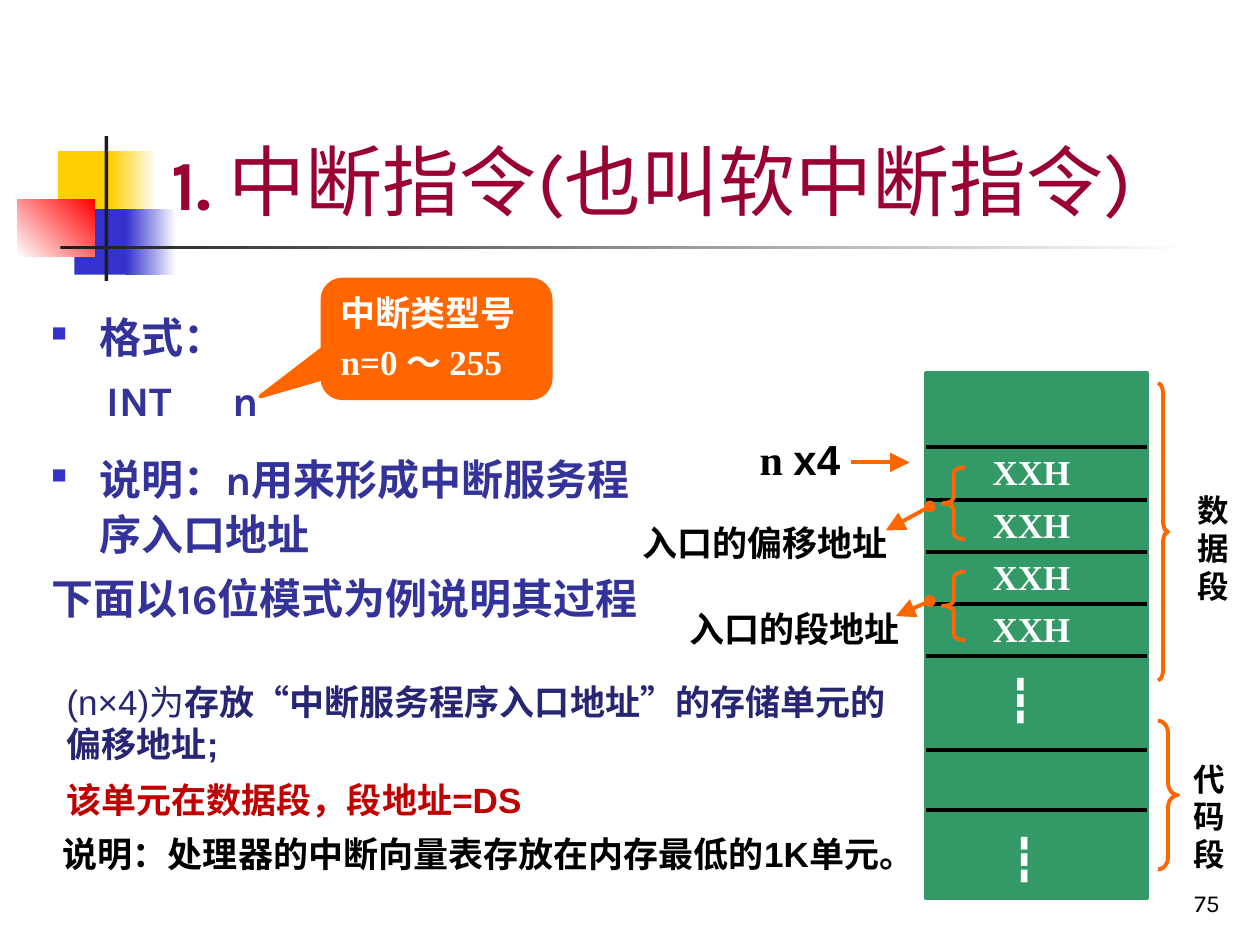
from dataclasses import dataclass

from lxml import etree
from pptx import Presentation
from pptx.dml.color import RGBColor
from pptx.enum import shapes, text
from pptx.oxml import ns
from pptx.util import Inches, Pt


@dataclass(frozen=True)
class Theme:
    sans: str = "Arial"
    serif: str = "Times New Roman"
    display: str = "Karla"
    title: str = "990033"
    body: str = "333399"
    bullet: str = "3333CC"
    note: str = "262673"
    alert: str = "C00000"
    memory: str = "339966"
    accent: str = "FF6600"
    yellow: str = "FFCF01"
    red: str = "FF0000"
    dark: str = "1C1C1C"
    black: str = "000000"
    white: str = "FFFFFF"
    title_size: int = 44
    number_size: int = 40
    body_size: int = 24
    label_size: int = 20
    side_size: int = 18
    page_size: int = 14
    line_width: float = 2.25


class SlideBuilder:
    def __init__(self, slide, theme):
        self.slide = slide
        self.theme = theme

    def run(self, paragraph, words, size, font, color, bold=True):
        run = paragraph.add_run()
        run.text = words
        run.font.size = Pt(size)
        run.font.name = font
        run.font.bold = bold
        run.font.color.rgb = RGBColor.from_string(color)

    def frame(self, shape, paragraphs, align=text.PP_ALIGN.LEFT,
              anchor=text.MSO_ANCHOR.TOP, gap=0):
        frame = shape.text_frame
        frame.word_wrap = True
        frame.auto_size = text.MSO_AUTO_SIZE.NONE
        frame.vertical_anchor = anchor
        for index, runs in enumerate(paragraphs):
            paragraph = frame.add_paragraph() if index else frame.paragraphs[0]
            paragraph.alignment = align
            if index:
                paragraph.space_before = Pt(gap)
            for run in runs:
                self.run(paragraph, *run)
        return frame

    def title(self, at, runs):
        title = self.slide.shapes.title
        title.left, title.top, title.width, title.height = map(Inches, at)
        self.frame(title, [runs], anchor=text.MSO_ANCHOR.BOTTOM)

    def text(self, at, paragraphs, **layout):
        box = self.slide.shapes.add_textbox(*map(Inches, at))
        return self.frame(box, paragraphs, **layout)

    def label(self, at, words, size, font, color, bold=True, **layout):
        self.text(at, [[(words, size, font, color, bold)]], **layout)

    def outline(self, paragraph, margin, hanging=0, before=0, bullet=False, tab=None):
        paragraph.line_spacing = 1.1
        paragraph.space_before = Pt(before)
        paragraph.space_after = Pt(1.2)
        props = paragraph._p.get_or_add_pPr()
        props.set("marL", str(Inches(margin)))
        props.set("indent", str(-Inches(hanging)))
        if bullet:
            color = etree.SubElement(props, ns.qn("a:buClr"))
            etree.SubElement(color, ns.qn("a:srgbClr"), val=self.theme.bullet)
            etree.SubElement(props, ns.qn("a:buSzPct"), val="50000")
            etree.SubElement(props, ns.qn("a:buChar"), char="■")
        else:
            etree.SubElement(props, ns.qn("a:buNone"))
        if tab:
            stops = etree.SubElement(props, ns.qn("a:tabLst"))
            etree.SubElement(stops, ns.qn("a:tab"), pos=str(Inches(tab)), algn="l")

    def shape(self, kind, at, fill=None, line=None, adjustments=(), rotation=0):
        shape = self.slide.shapes.add_shape(kind, *map(Inches, at))
        shape.shadow.inherit = False
        shape.rotation = rotation
        for index, value in enumerate(adjustments):
            shape.adjustments[index] = value
        if fill:
            shape.fill.solid()
            shape.fill.fore_color.rgb = RGBColor.from_string(fill)
        else:
            shape.fill.background()
        if line:
            shape.line.color.rgb = RGBColor.from_string(line)
            shape.line.width = Pt(self.theme.line_width)
        else:
            shape.line.fill.background()
        return shape

    def gradient(self, at, start, end, angle=0):
        fill = self.shape(shapes.MSO_SHAPE.RECTANGLE, at).fill
        fill.gradient()
        fill.gradient_angle = angle
        for stop, color in zip(fill.gradient_stops, (start, end)):
            stop.color.rgb = RGBColor.from_string(color)

    def brace(self, at, curve, rotation=0):
        self.shape(shapes.MSO_SHAPE.LEFT_BRACE, at, line=self.theme.accent,
                   adjustments=(curve, 0.5), rotation=rotation)

    def line(self, start, end, color, head=None, tail=None):
        line = self.slide.shapes.add_connector(
            shapes.MSO_CONNECTOR.STRAIGHT, *map(Inches, (*start, *end)))
        line.line.color.rgb = RGBColor.from_string(color)
        line.line.width = Pt(self.theme.line_width)
        outline = line.line._get_or_add_ln()
        for tag, style, size in (("a:headEnd", head, "med"), ("a:tailEnd", tail, "lg")):
            if style:
                etree.SubElement(outline, ns.qn(tag), type=style, w=size, len=size)
        etree.SubElement(line._element.spPr, ns.qn("a:effectLst"))


def draw_ornament(b, t):
    rectangle = shapes.MSO_SHAPE.RECTANGLE
    b.shape(rectangle, (0.46, 1.2, 0.48, 0.52), t.yellow)
    b.gradient((0.88, 1.2, 0.36, 0.52), t.yellow, t.white)
    b.shape(rectangle, (0.59, 1.66, 0.46, 0.52), t.bullet)
    b.gradient((1, 1.66, 0.4, 0.52), t.bullet, t.white)
    b.gradient((0.14, 1.58, 0.61, 0.46), t.white, t.red, 45)
    b.shape(rectangle, (0.83, 1.08, 0.03, 1.15), t.dark)
    b.gradient((0.48, 1.95, 9, 0.03), t.dark, t.white)


def draw_explanation(b, t):
    points = ("格式：", "INT\tn", "说明：n用来形成中断服务程序入口地址",
              "下面以16位模式为例说明其过程")
    body = b.text((0.31, 2.38, 5.05, 2.76),
                  [[(point, t.body_size, t.display, t.body)] for point in points])
    syntax_format, syntax, meaning, example = body.paragraphs
    b.outline(syntax_format, 0.38, 0.38, bullet=True)
    b.outline(syntax, 0.44, before=3.6, tab=0.68)
    b.outline(meaning, 0.38, 0.38, before=12, bullet=True)
    b.outline(example, 0.38, 0.38, before=3.6)

    callout = b.shape(shapes.MSO_SHAPE.ROUNDED_RECTANGULAR_CALLOUT,
                      (2.56, 2.22, 1.81, 0.94), t.accent, t.accent,
                      (-0.773, 0.486, 0.167))
    b.frame(callout, [
        [("中断类型号", t.label_size, t.serif, t.white)],
        [("n=0 ", t.label_size, t.serif, t.white),
         ("〜", t.label_size, t.sans, t.white),
         (" 255", t.label_size, t.serif, t.white)],
    ], gap=4)

    b.text((0.43, 5.35, 6.83, 0.77), [[
        ("(n×4)为", t.label_size, t.sans, t.note, False),
        ("存放“中断服务程序入口地址”的存储单元的偏移地址;", t.label_size, t.sans, t.note)]])
    b.label((0.43, 6.13, 4.8, 0.44), "该单元在数据段，段地址=DS",
            t.label_size, t.sans, t.alert)
    b.label((0.4, 6.56, 6.79, 0.44), "说明：处理器的中断向量表存放在内存最低的1K单元。",
            t.label_size, t.sans, t.black)


def draw_memory(b, t):
    left, right, cell = 7.35, 9.1, 0.415
    b.shape(shapes.MSO_SHAPE.RECTANGLE, (left, 2.96, right - left, 4.17),
            t.memory, t.memory)
    vector_rows = [3.55 + cell * row for row in range(5)]
    for y in (*vector_rows, 5.95, 6.43):
        b.line((left, y), (right, y), t.black)
    for y in vector_rows[:-1]:
        b.label((7.78, y - 0.02, 1.17, 0.43), "XXH", t.label_size, t.serif, t.white)
    for x, y in ((7.9, 5.3), (7.93, 6.56)):
        b.label((x, y, 0.58, 0.5), "┇", t.body_size, t.serif, t.white)

    b.text((5.93, 3.39, 0.91, 0.51), [[
        ("n ", t.body_size, t.serif, t.black), ("х4", t.body_size, t.sans, t.black)]])
    b.line((6.75, 3.67), (7.22, 3.67), t.accent, tail="triangle")

    b.brace((7.48, 3.71, 0.18, 0.57), 0.259)
    b.brace((7.48, 4.54, 0.18, 0.54), 0.244)
    for at, name, start, end in (
        ((5.37, 4.77, 2.05, 0.43), "入口的段地址", (7.38, 4.77), (7.11, 4.89)),
        ((5, 4.09, 2.24, 0.43), "入口的偏移地址", (7.38, 4.02), (7.03, 4.21)),
    ):
        b.label(at, name, t.label_size, t.serif, t.black)
        b.line(start, end, t.accent, head="oval", tail="triangle")

    for at, curve, name, x, y in (
        ((9.19, 3.04, 0.08, 2.36), 1.081, "数据段", 9.38, 3.85),
        ((9.19, 5.72, 0.16, 1.18), 0.623, "代码段", 9.35, 5.98),
    ):
        b.brace(at, curve, 180)
        b.label((x, y, 0.5, 1), name, t.side_size, t.serif, t.black,
                align=text.PP_ALIGN.CENTER)


def main():
    deck = Presentation()
    deck.slide_width, deck.slide_height = Inches(10), Inches(7.5)
    t = Theme()
    b = SlideBuilder(deck.slides.add_slide(deck.slide_layouts[5]), t)
    draw_ornament(b, t)
    b.title((1.26, 0.77, 8.52, 1.07), [
        ("1. ", t.number_size, t.display, t.title),
        ("中断指令(也叫软中断指令)", t.title_size, t.display, t.title, False)])
    draw_explanation(b, t)
    draw_memory(b, t)
    b.label((7.7, 6.83, 2.08, 0.5), "75", t.page_size, t.display, t.black, False,
            align=text.PP_ALIGN.RIGHT, anchor=text.MSO_ANCHOR.BOTTOM)
    deck.save("out.pptx")


if __name__ == "__main__":
    main()
